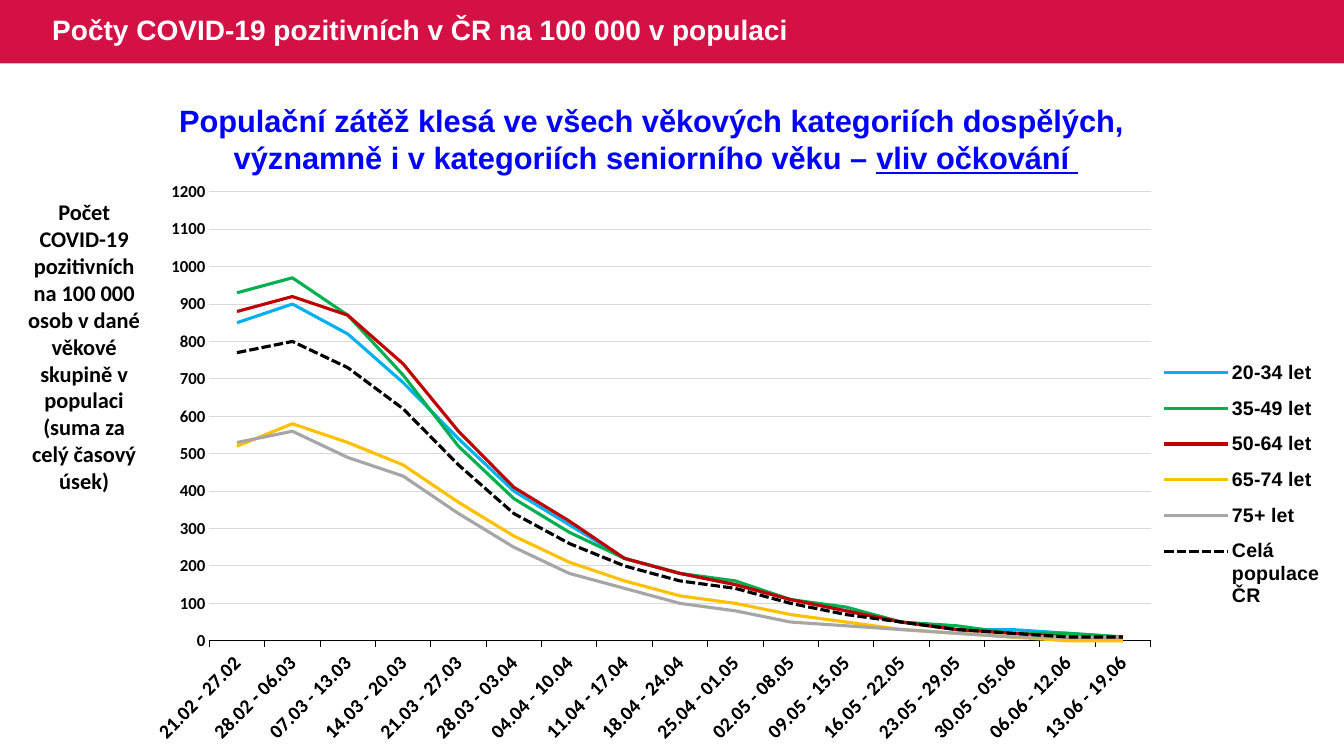
"""Build a slide on weekly COVID-19 incidence by age group."""
import lxml.etree
import pptx
import pptx.chart.data
import pptx.dml.color
import pptx.enum.chart
import pptx.enum.dml
import pptx.enum.shapes
import pptx.enum.text
import pptx.oxml.ns
import pptx.util

Inches = pptx.util.Inches
Pt = pptx.util.Pt
qn = pptx.oxml.ns.qn

COLOURS = {
    "banner": "D31145", "white": "FFFFFF", "headline": "0000FF",
    "black": "000000", "grid": "D9D9D9", "sky": "00B0F0",
    "green": "00B050", "red": "C00000", "yellow": "FFC000", "grey": "A6A6A6",
}
WEEKS = [
    "21.02 - 27.02", "28.02 - 06.03", "07.03 - 13.03", "14.03 - 20.03",
    "21.03 - 27.03", "28.03 - 03.04", "04.04 - 10.04", "11.04 - 17.04",
    "18.04 - 24.04", "25.04 - 01.05", "02.05 - 08.05", "09.05 - 15.05",
    "16.05 - 22.05", "23.05 - 29.05", "30.05 - 05.06", "06.06 - 12.06",
    "13.06 - 19.06",
]
AGE_GROUPS = [
    ("20-34 let", "sky", [850, 900, 820, 690, 540, 400, 310, 220, 180,
                          150, 110, 80, 50, 30, 30, 20, 10]),
    ("35-49 let", "green", [930, 970, 870, 710, 520, 380, 290, 220, 180,
                            160, 110, 90, 50, 40, 20, 20, 10]),
    ("50-64 let", "red", [880, 920, 870, 740, 560, 410, 320, 220, 180,
                          150, 110, 80, 50, 30, 20, 10, 10]),
    ("65-74 let", "yellow", [520, 580, 530, 470, 370, 280, 210, 160, 120,
                             100, 70, 50, 30, 20, 10, 0, 0]),
    ("75+ let", "grey", [530, 560, 490, 440, 340, 250, 180, 140, 100,
                         80, 50, 40, 30, 20, 10, 10, 10]),
    ("Celá populace ČR", "black", [770, 800, 730, 620, 470, 340, 260, 200,
                                   160, 140, 100, 70, 50, 30, 20, 10, 10]),
]


def rgb(name):
    """Return the named colour."""
    return pptx.dml.color.RGBColor.from_string(COLOURS[name])


def style_font(font, size, face, colour):
    """Make a font bold with the given size, face and colour."""
    font.size = Pt(size)
    font.name = face
    font.bold = True
    font.color.rgb = rgb(colour)


def add_text(page, box, paragraphs, size, face, colour, centred=True):
    """Add a wrapped text box whose paragraphs are lists of spans."""
    frame = page.shapes.add_textbox(*map(Inches, box)).text_frame
    frame.word_wrap = True
    for index, spans in enumerate(paragraphs):
        para = frame.paragraphs[0] if index == 0 else frame.add_paragraph()
        if centred:
            para.alignment = pptx.enum.text.PP_ALIGN.CENTER
        for words in spans:
            span = para.add_run()
            span.text = words
            style_font(span.font, size, face, colour)
    return frame


def add_banner(page, box):
    """Draw the title band across the box."""
    left, top, width, height = box
    band = page.shapes.add_shape(
        pptx.enum.shapes.MSO_SHAPE.RECTANGLE, *map(Inches, box))
    band.shadow.inherit = False
    band.fill.solid()
    band.fill.fore_color.rgb = rgb("banner")
    band.line.fill.background()
    frame = add_text(
        page, (left + 0.42, top, width - 4.96, height),
        [["Počty COVID-19 pozitivních v ČR na 100 000 v populaci"]],
        20, "Arial", "white", centred=False)
    frame.vertical_anchor = pptx.enum.text.MSO_ANCHOR.MIDDLE
    frame.paragraphs[0].line_spacing = 0.9


def add_headline(page, box):
    """Write the two-line message with its underlined ending."""
    frame = add_text(
        page, box,
        [["Populační zátěž klesá ve všech věkových kategoriích dospělých, "],
         ["významně i v kategoriích seniorního věku – ", "vliv očkování "]],
        22, "Arial", "headline")
    frame.paragraphs[1].runs[1].font.underline = True


def add_axis_caption(page, box):
    """Write what the value axis measures."""
    add_text(
        page, box,
        [["Počet COVID-19 pozitivních na 100 000 osob v dané věkové skupině "
          "v populaci (suma za celý časový úsek)"]],
        16, "Calibri", "black")


def set_layout(element, position, fractions, inner=False):
    """Place a chart part by fractions of the chart area."""
    for old in element.findall(qn("c:layout")):
        element.remove(old)
    layout = lxml.etree.Element(qn("c:layout"))
    manual = lxml.etree.SubElement(layout, qn("c:manualLayout"))
    settings = [("layoutTarget", "inner")] if inner else []
    settings += [("xMode", "edge"), ("yMode", "edge")]
    settings += zip("xywh", map(str, fractions))
    for tag, value in settings:
        lxml.etree.SubElement(manual, qn("c:" + tag)).set("val", value)
    element.insert(position, layout)


def style_axes(chart):
    """Format the week axis and the value axis."""
    marks = pptx.enum.chart.XL_TICK_MARK
    weeks = chart.category_axis
    weeks.major_tick_mark = marks.OUTSIDE
    weeks.has_major_gridlines = False
    weeks.format.line.color.rgb = rgb("black")
    weeks.format.line.width = Pt(0.75)
    style_font(weeks.tick_labels.font, 14, "Calibri", "black")
    weeks._element.find(qn("c:txPr")).find(qn("a:bodyPr")).set("rot", "-2700000")

    counts = chart.value_axis
    counts.minimum_scale, counts.maximum_scale = 0, 1200
    counts.major_unit = 100
    counts.major_tick_mark = marks.NONE
    counts.format.line.fill.background()
    counts.major_gridlines.format.line.color.rgb = rgb("grid")
    counts.major_gridlines.format.line.width = Pt(0.75)
    style_font(counts.tick_labels.font, 12, "Calibri", "black")


def add_incidence_chart(page, box):
    """Draw the line chart of weekly counts by age group."""
    data = pptx.chart.data.CategoryChartData(number_format="0")
    data.categories = WEEKS
    for name, _, counts in AGE_GROUPS:
        data.add_series(name, counts)
    chart = page.shapes.add_chart(
        pptx.enum.chart.XL_CHART_TYPE.LINE, *map(Inches, box), data).chart
    chart.has_title = False
    style_font(chart.font, 14, "Arial", "black")
    style_axes(chart)
    chart.plots[0].vary_by_categories = False
    for series, (_, colour, _) in zip(chart.plots[0].series, AGE_GROUPS):
        series.smooth = False
        series.marker.style = pptx.enum.chart.XL_MARKER_STYLE.NONE
        series.format.line.color.rgb = rgb(colour)
        series.format.line.width = Pt(2.25)
    series.format.line.dash_style = pptx.enum.dml.MSO_LINE.SQUARE_DOT

    chart.has_legend = True
    chart.legend.position = pptx.enum.chart.XL_LEGEND_POSITION.RIGHT
    chart.legend.include_in_layout = False
    style_font(chart.legend.font, 14, "Arial", "black")
    set_layout(chart.legend._element, 1, (0.86, 0.29, 0.14, 0.46))
    plot_area = chart._chartSpace.find(qn("c:chart")).find(qn("c:plotArea"))
    set_layout(plot_area, 0, (0.045, 0.026, 0.803, 0.759), inner=True)


def main():
    """Build and save the deck."""
    deck = pptx.Presentation()
    deck.slide_width, deck.slide_height = Inches(13.33), Inches(7.5)
    page = deck.slides.add_slide(deck.slide_layouts[6])
    add_banner(page, (0, 0, 13.33, 0.63))
    add_incidence_chart(page, (1.52, 1.75, 11.66, 5.87))
    add_axis_caption(page, (0.15, 1.92, 1.37, 3.06))
    add_headline(page, (0.3, 0.96, 12.41, 0.84))
    deck.save("out.pptx")


if __name__ == "__main__":
    main()
